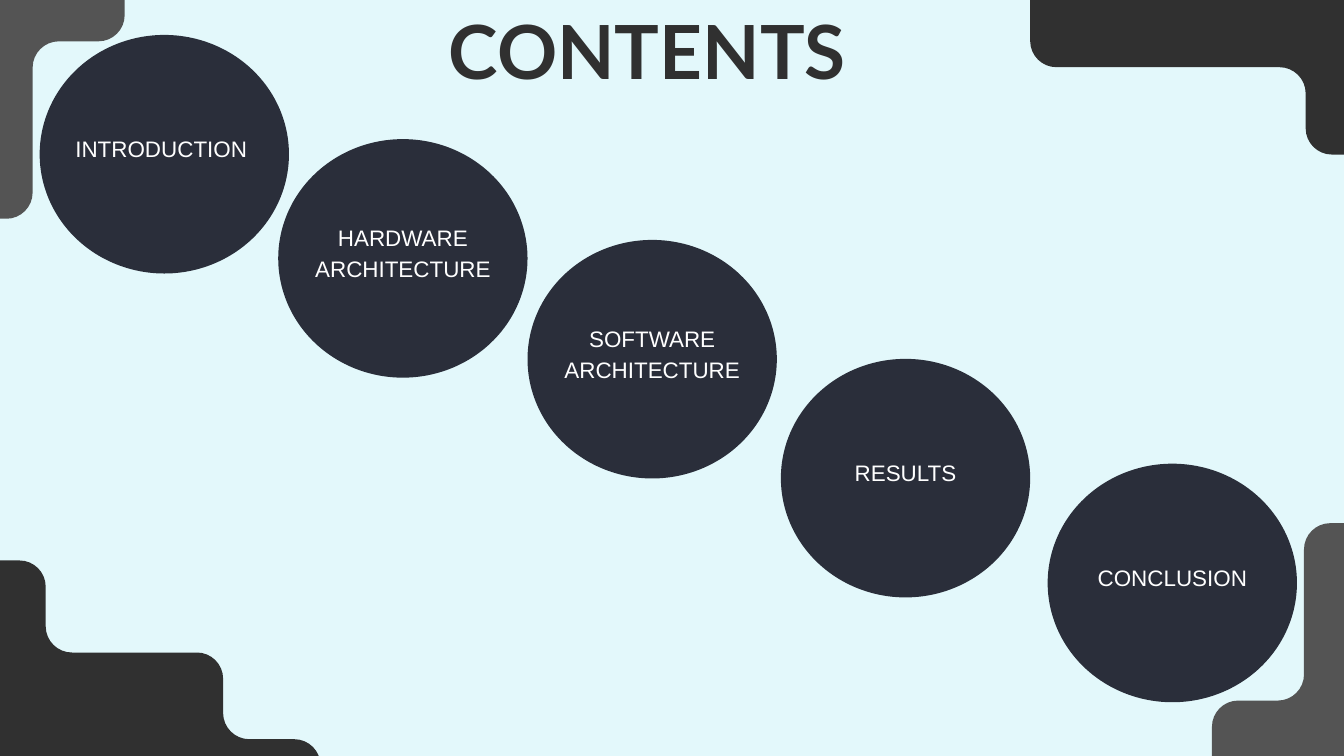
import math
from dataclasses import dataclass

import pptx
import pptx.util
import pptx.dml.color
import pptx.enum.shapes
import pptx.enum.text
import pptx.oxml
import pptx.oxml.ns

Inches = pptx.util.Inches
Pt = pptx.util.Pt
qn = pptx.oxml.ns.qn


@dataclass(frozen=True)
class Theme:
    back: str = "E3F8FB"
    dark: str = "303030"
    gray: str = "545454"
    disc: str = "2A2E3A"
    white: str = "FFFFFF"
    head: int = 80
    body: int = 24
    headfont: str = "Lato"
    font: str = "Arial"


def rgb(code):
    return pptx.dml.color.RGBColor.from_string(code)


def bend(prior, corner, after, radius):
    def toward(end, part):
        share = radius * part / math.dist(corner, end)
        return tuple(Inches(c + (e - c) * share) for c, e in zip(corner, end))

    return [toward(prior, 1), toward(prior, 0.45),
            toward(after, 0.45), toward(after, 1)]


def curve(shape):
    outline = next(shape._element.iter(qn("a:path")))
    lines = outline.findall(qn("a:lnTo"))
    for i in range(0, len(lines), 4):
        arc = pptx.oxml.parse_xml(
            f"<a:cubicBezTo {pptx.oxml.ns.nsdecls('a')}/>")
        lines[i].addprevious(arc)
        for line in lines[i:i + 3]:
            arc.append(line[0])
            outline.remove(line)


class Deck:
    def __init__(self, theme, slide):
        self.theme = theme
        self.slide = slide
        self.paint(slide.background, theme.back)

    def paint(self, item, color):
        item.fill.solid()
        item.fill.fore_color.rgb = rgb(color)

    def plain(self, shape, color):
        shape.shadow.inherit = False
        self.paint(shape, color)
        shape.line.fill.background()

    def stair(self, left, top, color, angle, corners, radius):
        points = []
        for i, corner in enumerate(corners):
            after = corners[(i + 1) % len(corners)]
            points.extend(bend(corners[i - 1], corner, after, radius))
        pen = self.slide.shapes.build_freeform(*points[0])
        pen.add_line_segments(points[1:], close=True)
        shape = pen.convert_to_shape(Inches(left), Inches(top))
        curve(shape)
        shape.rotation = angle
        self.plain(shape, color)

    def circle(self, left, top, width, height):
        kind = pptx.enum.shapes.MSO_SHAPE.OVAL
        shape = self.slide.shapes.add_shape(
            kind, Inches(left), Inches(top), Inches(width), Inches(height))
        self.plain(shape, self.theme.disc)

    def text(self, place, lines, size, font, color, pitch, inset=0, bold=False):
        box = self.slide.shapes.add_textbox(*map(Inches, place))
        frame = box.text_frame
        frame.word_wrap = True
        frame.margin_left = frame.margin_right = Inches(inset)
        frame.margin_top = frame.margin_bottom = Inches(inset)
        for i, line in enumerate(lines):
            para = frame.paragraphs[0] if i == 0 else frame.add_paragraph()
            para.line_spacing = Pt(pitch)
            run = para.add_run()
            run.text = line
            run.font.size = Pt(size)
            run.font.name = font
            run.font.bold = bold
            run.font.color.rgb = rgb(color)
        return frame

    def topic(self, left, top, lines):
        theme = self.theme
        self.circle(left, top, 3.71, 3.55)
        frame = self.text((left + 0.35, top + 0.1, 3.01, 3.12), lines,
                          theme.body, theme.font, theme.white, 33.6, 0.06)
        frame.vertical_anchor = pptx.enum.text.MSO_ANCHOR.MIDDLE
        for para in frame.paragraphs:
            para.alignment = pptx.enum.text.PP_ALIGN.CENTER

    def title(self, place, words):
        theme = self.theme
        frame = self.text(place, [words], theme.head, theme.headfont,
                          theme.dark, 67.2, bold=True)
        frame.auto_size = pptx.enum.text.MSO_AUTO_SIZE.SHAPE_TO_FIT_TEXT


def main():
    theme = Theme()
    show = pptx.Presentation()
    show.slide_width, show.slide_height = Inches(20), Inches(11.25)
    deck = Deck(theme, show.slides.add_slide(show.slide_layouts[6]))

    corners = [
        (5, 1.37), (2.36, 1.37), (2.36, 0), (0, 0), (0, 2.92),
        (4.1, 2.92), (4.1, 4.22), (6.45, 4.22), (6.45, 2.66), (5, 2.66),
    ]
    stairs = [
        (-1.68, 8.34, theme.dark, 0),
        (15.33, -1.92, theme.dark, 0),
        (16.92, 7.45, theme.gray, 270),
        (-3.48, -0.63, theme.gray, 90),
    ]
    for stair in stairs:
        deck.stair(*stair, corners, 0.39)

    topics = [
        (0.59, 0.52, ["INTRODUCTION "]),
        (4.14, 2.07, ["HARDWARE ARCHITECTURE"]),
        (7.85, 3.57, ["SOFTWARE", "ARCHITECTURE"]),
        (11.62, 5.34, ["RESULTS"]),
        (15.59, 6.9, ["CONCLUSION"]),
    ]
    for topic in topics:
        deck.topic(*topic)

    deck.title((6.68, 0.47, 10.47, 1.21), "CONTENTS")
    show.save("out.pptx")


if __name__ == "__main__":
    main()
